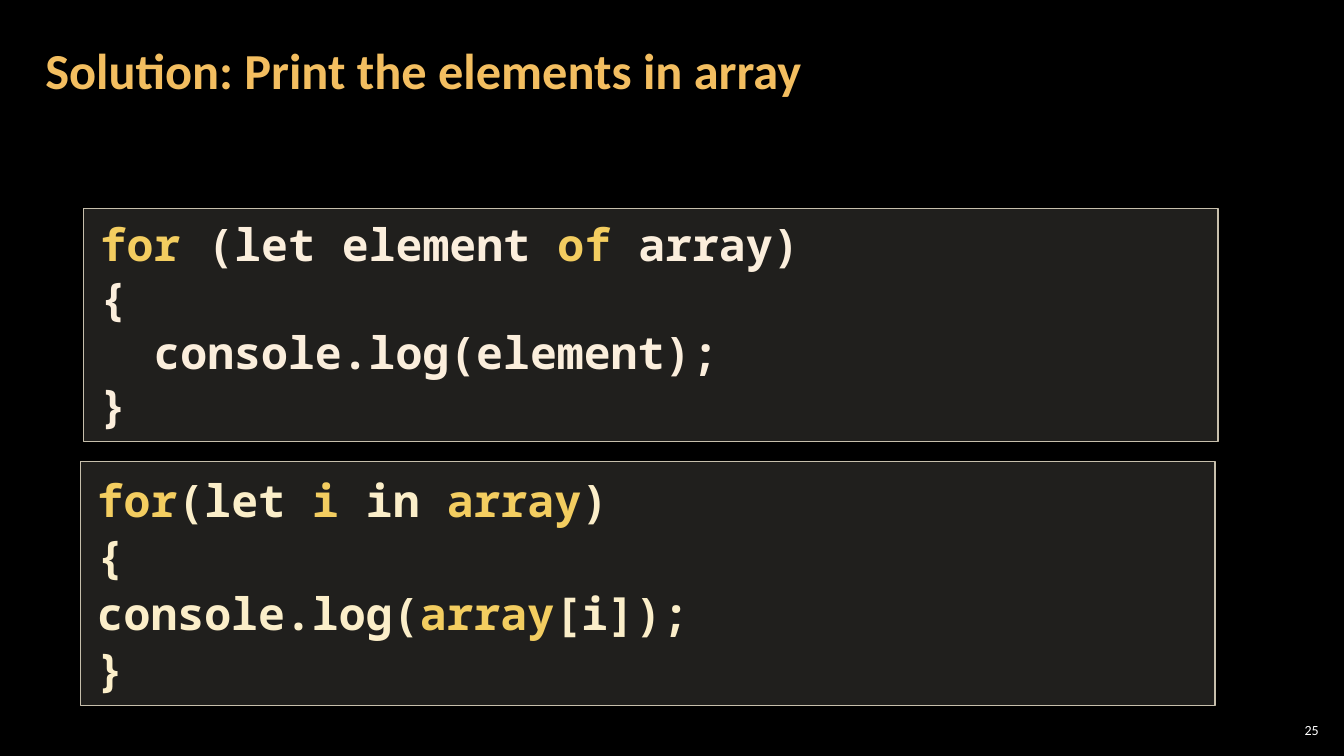
from lxml.etree import SubElement
from pptx import Presentation
from pptx.dml.color import RGBColor
from pptx.enum.shapes import MSO_SHAPE
from pptx.enum.text import MSO_ANCHOR, PP_ALIGN
from pptx.oxml.ns import qn
from pptx.util import Inches, Pt

COLORS = {
    "background": "000000",
    "title": "F3BE60",
    "number": "FFFFFF",
    "panel": "D9D5C7",
    "border": "C7BFAC",
    "keyword": "F3CD60",
    "cream": "FBEEDC",
    "pale": "FBEEC9",
}
PANEL_OPACITY = 15  # percent
PANEL_WIDTH = 11.25

TITLE = "Solution: Print the elements in array"
SLIDE_NUMBER = "25"

# Each code line is a list of (text, color name) pieces.
CODE_PANELS = [
    {
        "left": 0.83, "top": 2.07, "height": 2.31, "line_spacing": 1.0,
        "lines": [
            [("for", "keyword"), (" (let element ", "cream"),
             ("of ", "keyword"), ("array)", "cream")],
            [("{", "cream")],
            [("  console.log(element);", "cream")],
            [("}", "cream")],
        ],
    },
    {
        "left": 0.8, "top": 4.58, "height": 2.42, "line_spacing": 1.05,
        "lines": [
            [("for", "keyword"), ("(let ", "pale"), ("i ", "keyword"),
             ("in ", "pale"), ("array", "keyword"), (")", "pale")],
            [("{", "pale")],
            [("console.log(", "pale"), ("array", "keyword"), ("[i]);", "pale")],
            [("}", "pale")],
        ],
    },
]


def color(name):
    return RGBColor.from_string(COLORS[name])


def write_text(shape, lines, *, font, size, bold=False, align=PP_ALIGN.LEFT,
               anchor=MSO_ANCHOR.TOP, line_spacing=1.0, margins=(0.04, 0.04)):
    """Fill a shape with lines of colored pieces; margins are (side, top and bottom)."""
    frame = shape.text_frame
    frame.word_wrap = True
    frame.vertical_anchor = anchor
    frame.margin_left = frame.margin_right = Inches(margins[0])
    frame.margin_top = frame.margin_bottom = Inches(margins[1])
    for index, pieces in enumerate(lines):
        paragraph = frame.add_paragraph() if index else frame.paragraphs[0]
        paragraph.alignment = align
        paragraph.line_spacing = line_spacing
        for text, color_name in pieces:
            run = paragraph.add_run()
            run.text = text
            run.font.name = font
            run.font.size = Pt(size)
            run.font.bold = bold
            run.font.color.rgb = color(color_name)


def add_code_panel(slide, panel):
    shape = slide.shapes.add_shape(
        MSO_SHAPE.RECTANGLE, Inches(panel["left"]), Inches(panel["top"]),
        Inches(PANEL_WIDTH), Inches(panel["height"]))
    shape.shadow.inherit = False
    shape.fill.solid()
    shape.fill.fore_color.rgb = color("panel")
    fill_color = shape.fill._xPr.find(qn("a:solidFill")).find(qn("a:srgbClr"))
    SubElement(fill_color, qn("a:alpha")).set("val", str(PANEL_OPACITY * 1000))
    shape.line.color.rgb = color("border")
    shape.line.width = Pt(1)
    write_text(shape, panel["lines"], font="Noto Sans Mono", size=32, bold=True,
               line_spacing=panel["line_spacing"], margins=(0.16, 0.08))


def main():
    presentation = Presentation()
    presentation.slide_width = Inches(13.33)
    presentation.slide_height = Inches(7.5)
    slide = presentation.slides.add_slide(presentation.slide_layouts[6])
    slide.background.fill.solid()
    slide.background.fill.fore_color.rgb = color("background")

    number = slide.shapes.add_textbox(
        Inches(12.65), Inches(7.14), Inches(0.47), Inches(0.21))
    write_text(number, [[(SLIDE_NUMBER, "number")]], font="Calibri", size=10,
               align=PP_ALIGN.RIGHT, anchor=MSO_ANCHOR.MIDDLE)

    title = slide.shapes.add_textbox(
        Inches(0.33), Inches(0.42), Inches(10.47), Inches(1.21))
    write_text(title, [[(TITLE, "title")]], font="Calibri", size=36, bold=True,
               line_spacing=0.9, margins=(0.12, 0.04))

    for panel in CODE_PANELS:
        add_code_panel(slide, panel)

    presentation.save("out.pptx")


if __name__ == "__main__":
    main()
